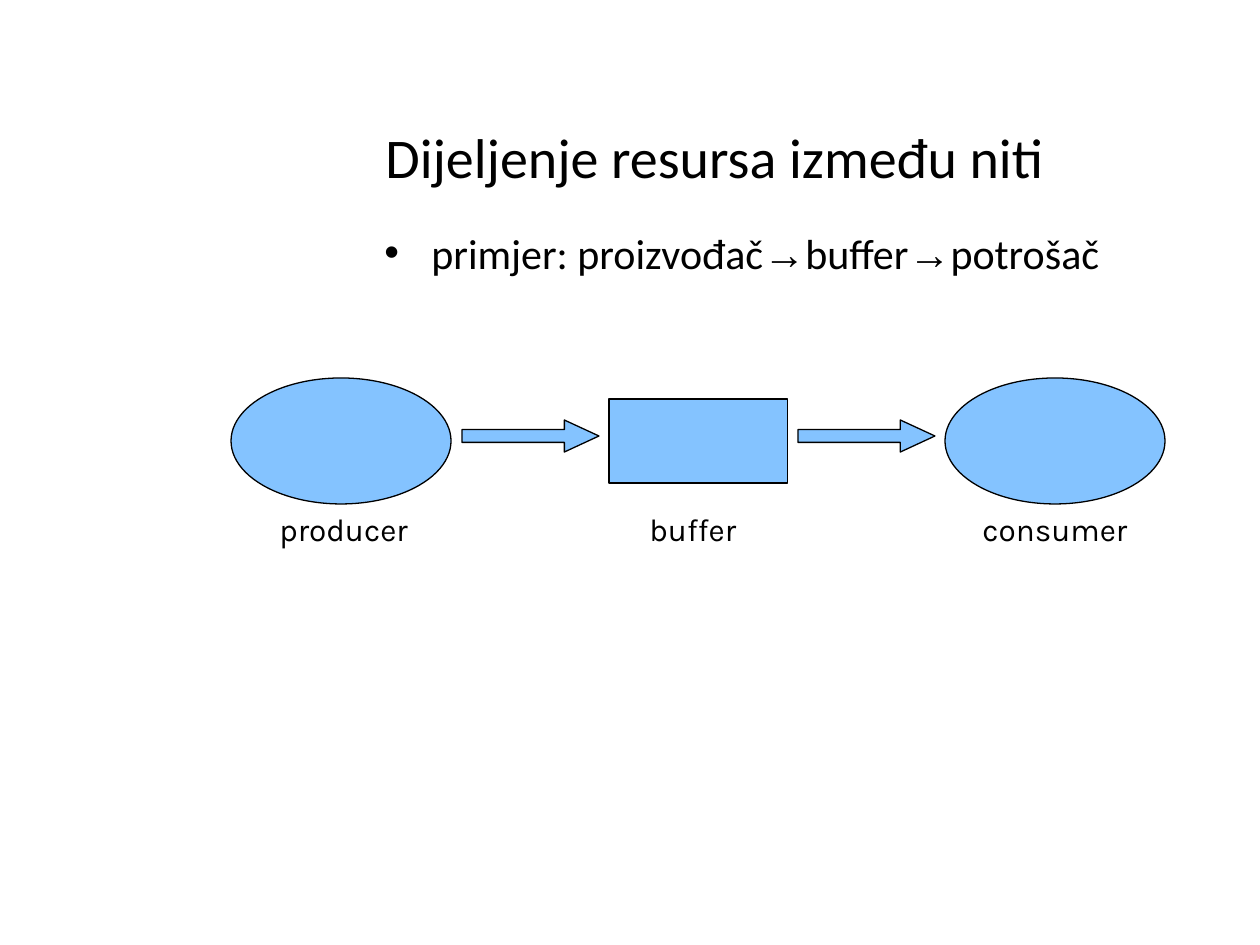
from collections import namedtuple

from lxml import etree
from pptx import Presentation
from pptx.dml.color import RGBColor
from pptx.enum.shapes import MSO_SHAPE
from pptx.enum.text import MSO_ANCHOR, MSO_AUTO_SIZE
from pptx.oxml.ns import qn
from pptx.util import Pt

PX = 914400 // 126
ELLIPSE, RECTANGLE, ARROW = MSO_SHAPE.OVAL, MSO_SHAPE.RECTANGLE, MSO_SHAPE.RIGHT_ARROW
TOP, BOTTOM = MSO_ANCHOR.TOP, MSO_ANCHOR.BOTTOM
FIT_SHAPE = MSO_AUTO_SIZE.SHAPE_TO_FIT_TEXT
COLORS = {"text": "000000", "line": "000000", "fill": "84C3FF"}

Box = namedtuple("Box", "left top width height")


def color(name):
    """Return the named colour."""
    return RGBColor.from_string(COLORS[name])


def emu(box):
    """Turn a box in px into EMU lengths."""
    return [length * PX for length in box]


def within(box, left, top, width, height):
    """Return a box placed relative to another box."""
    return Box(box.left + left, box.top + top, width, height)


def add_text(page, box, spans, size, **frame_format):
    """Add a one-paragraph text box of (text, font) spans."""
    frame = page.shapes.add_textbox(*emu(box)).text_frame
    for name, value in {"word_wrap": True, **frame_format}.items():
        setattr(frame, name, value)
    para = frame.paragraphs[0]
    for text, font in spans:
        span = para.add_run()
        span.text = text
        span.font.name = font
        span.font.size = Pt(size)
        span.font.color.rgb = color("text")
    return para


def add_bullet(para, indent):
    """Give a paragraph a round bullet with a hanging indent in px."""
    properties = para._p.get_or_add_pPr()
    properties.set("marL", str(indent * PX))
    properties.set("indent", str(-indent * PX))
    etree.SubElement(properties, qn("a:buFont"), typeface="Arial")
    etree.SubElement(properties, qn("a:buChar"), char="•")


def add_figure(page, kind, box):
    """Add a filled and outlined preset shape."""
    figure = page.shapes.add_shape(kind, *emu(box))
    figure.shadow.inherit = False
    figure.fill.solid()
    figure.fill.fore_color.rgb = color("fill")
    figure.line.color.rgb = color("line")
    figure.line.width = Pt(0.75)
    return figure


def add_title(page, box):
    """Add the slide title at the bottom of its box."""
    add_text(page, box, [("Dijeljenje resursa između niti", "Calibri")], 32,
             vertical_anchor=BOTTOM)


def add_body(page, box):
    """Add the bulleted example."""
    spans = [("primjer: proizvođač", "Calibri"), ("→", "Arial"),
             ("buffer", "Calibri"), ("→", "Arial"), ("potrošač", "Calibri")]
    add_bullet(add_text(page, box, spans, 24, vertical_anchor=TOP), 47)


def add_flow(page, box):
    """Add the producer, buffer and consumer with arrows between them."""
    nodes = [
        ("producer", ELLIPSE, (0, 0, 220, 126), 36, 161),
        ("consumer", ELLIPSE, (714, 0, 220, 126), 739, 174),
        ("buffer", RECTANGLE, (378, 21, 179, 84), 406, 116),
    ]
    for name, kind, place, label_left, label_width in nodes:
        add_figure(page, kind, within(box, *place))
        label = within(box, label_left, 126, label_width, 50)
        add_text(page, label, [(name, "Karla")], 18,
                 word_wrap=False, auto_size=FIT_SHAPE)
    for left in (231, 567):
        arrow = add_figure(page, ARROW, within(box, left, 42, 137, 32))
        arrow.adjustments[0] = 0.4
        arrow.adjustments[1] = 1.08


def main():
    """Build and save the slide."""
    deck = Presentation()
    deck.slide_width, deck.slide_height = 1260 * PX, 945 * PX
    page = deck.slides.add_slide(deck.slide_layouts[6])
    add_title(page, Box(373, 38, 871, 158))
    add_body(page, Box(372, 221, 872, 624))
    add_flow(page, Box(231, 378, 934, 176))
    deck.save("out.pptx")


if __name__ == "__main__":
    main()
